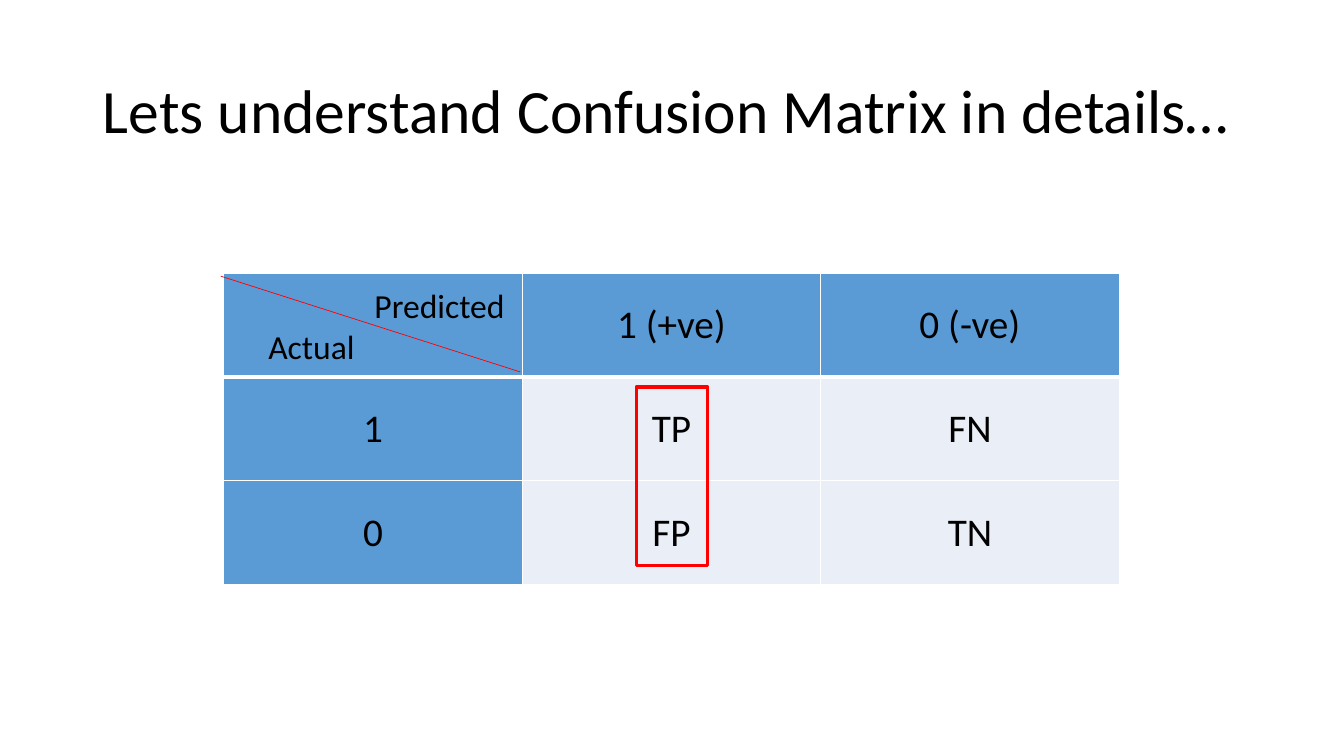
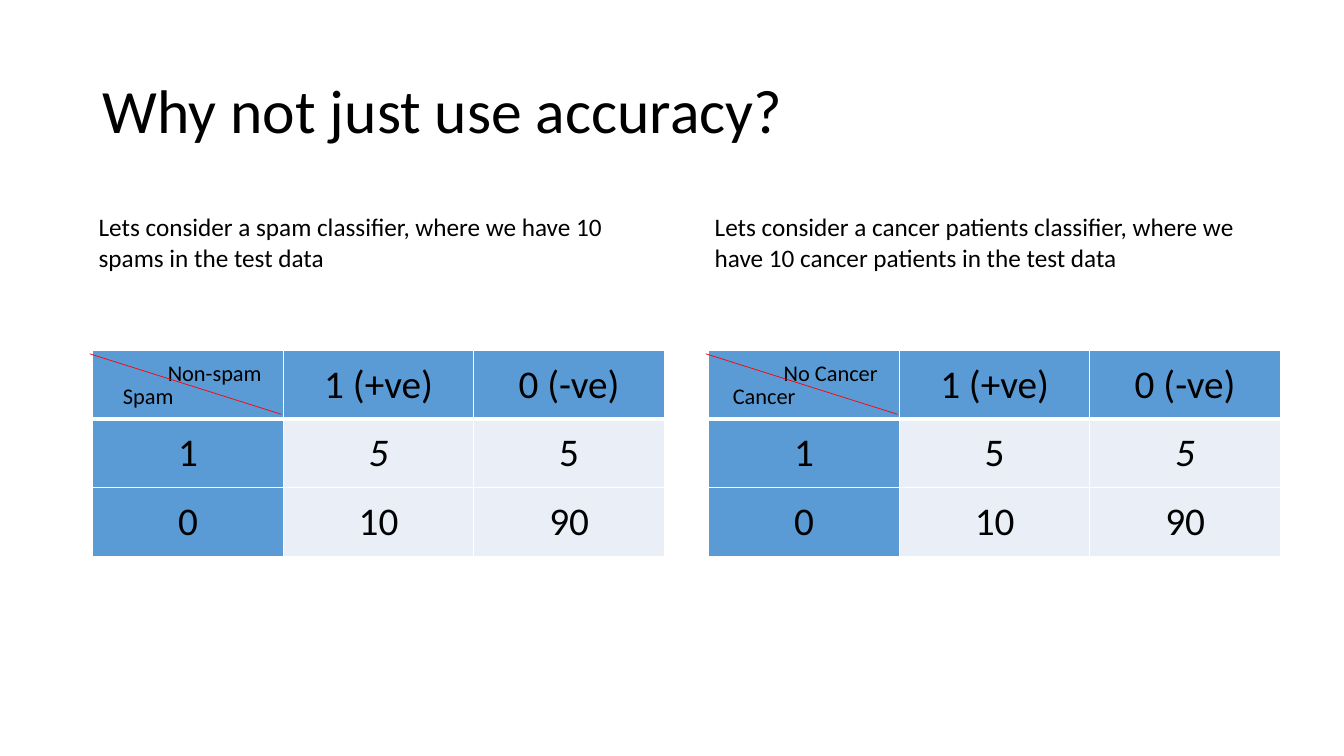
import pptx
import pptx.util
import pptx.dml.color
import pptx.enum.shapes
import pptx.enum.text
import pptx.oxml
import pptx.oxml.ns
from pptx.util import Inches

BLACK = pptx.dml.color.RGBColor(0x00, 0x00, 0x00)
WHITE = pptx.dml.color.RGBColor(0xFF, 0xFF, 0xFF)
RED = pptx.dml.color.RGBColor(0xFF, 0x00, 0x00)
HEADER_BLUE = pptx.dml.color.RGBColor(0x5B, 0x9B, 0xD5)
CELL_BLUE = pptx.dml.color.RGBColor(0xEA, 0xEF, 0xF7)
FONT = "Calibri"
LEFT = pptx.enum.text.PP_ALIGN.LEFT
CENTER = pptx.enum.text.PP_ALIGN.CENTER
MIDDLE = pptx.enum.text.MSO_ANCHOR.MIDDLE
DRAWING = pptx.oxml.ns.nsdecls("a")


def write_text(frame, text, size, align=CENTER, italic=False, line_spacing=None):
    frame.word_wrap = True
    paragraph = frame.paragraphs[0]
    paragraph.alignment = align
    paragraph.line_spacing = line_spacing
    run = paragraph.add_run()
    run.text = text
    run.font.name = FONT
    run.font.size = pptx.util.Pt(size)
    run.font.color.rgb = BLACK
    run.font.italic = italic


def add_matrix(slide, left, top, column_width, row_height, values, labels, label_size, italic_cell=None):
    """Draw a 3 x 3 confusion matrix; labels hold text and box relative to its corner."""
    table_frame = slide.shapes.add_table(
        3, 3, Inches(left), Inches(top), Inches(3 * column_width), Inches(3 * row_height))
    table = table_frame.table
    for column in table.columns:
        column.width = Inches(column_width)
    for row in table.rows:
        row.height = Inches(row_height)

    rows = [["", "1 (+ve)", "0 (-ve)"], ["1", *values[0]], ["0", *values[1]]]
    for row_index, texts in enumerate(rows):
        for column_index, text in enumerate(texts):
            cell = table.cell(row_index, column_index)
            cell.vertical_anchor = MIDDLE
            properties = cell._tc.get_or_add_tcPr()
            for side in "LRTB":
                under_header = (row_index, side) in [(0, "B"), (1, "T")]
                width = pptx.util.Pt(3 if under_header else 1)
                properties.append(pptx.oxml.parse_xml(
                    f'<a:ln{side} {DRAWING} w="{width}"><a:solidFill>'
                    f'<a:srgbClr val="{WHITE}"/></a:solidFill></a:ln{side}>'))
            is_header = row_index == 0 or column_index == 0
            cell.fill.solid()
            cell.fill.fore_color.rgb = HEADER_BLUE if is_header else CELL_BLUE
            if text:
                write_text(cell.text_frame, text, 28, italic=(row_index, column_index) == italic_cell)

    for text, x, y, width, height in labels:
        label = slide.shapes.add_textbox(
            Inches(left + x), Inches(top + y), Inches(width), Inches(height))
        write_text(label.text_frame, text, label_size)

    diagonal = slide.shapes.add_connector(
        pptx.enum.shapes.MSO_CONNECTOR.STRAIGHT,
        Inches(left - 0.03), Inches(top + 0.03),
        Inches(left + column_width - 0.02), Inches(top + row_height - 0.05))
    diagonal.line.color.rgb = RED
    diagonal.line.width = pptx.util.Pt(0.5)
    diagonal._element.spPr.append(pptx.oxml.parse_xml(f"<a:effectLst {DRAWING}/>"))


presentation = pptx.Presentation()
presentation.slide_width = Inches(13.33)
presentation.slide_height = Inches(7.5)

slides = []
for title_text in ["Lets understand Confusion Matrix in details…", "Why not just use accuracy?"]:
    slide = presentation.slides.add_slide(presentation.slide_layouts[5])
    title = slide.shapes.title
    title.left, title.top = Inches(0.92), Inches(0.4)
    title.width, title.height = Inches(11.5), Inches(1.45)
    title.text_frame.vertical_anchor = MIDDLE
    title.text_frame.auto_size = pptx.enum.text.MSO_AUTO_SIZE.NONE
    write_text(title.text_frame, title_text, 44, align=LEFT, line_spacing=0.9)
    slides.append(slide)
details_slide, accuracy_slide = slides

# Matrix with its positive predictions outlined
add_matrix(details_slide, 2.22, 2.71, 2.96, 1.03, [["TP", "FN"], ["FP", "TN"]],
           [("Actual", 0.34, 0.47, 1.06, 0.5), ("Predicted", 1.31, 0.07, 1.66, 0.5)], 24)
outline = details_slide.shapes.add_shape(
    pptx.enum.shapes.MSO_SHAPE.RECTANGLE, Inches(6.31), Inches(3.84), Inches(0.71), Inches(1.77))
outline.shadow.inherit = False
outline.fill.background()
outline.line.color.rgb = RED
outline.line.width = pptx.util.Pt(2.25)

# Two classifiers with equal counts, side by side
classifiers = [
    ("Lets consider a spam classifier, where we have 10 spams in the test data",
     "Spam", "Non-spam", (1, 1)),
    ("Lets consider a cancer patients classifier, where we have 10 cancer patients in the test data",
     "Cancer", "No Cancer", (1, 2)),
]
for index, (introduction, actual, predicted, italic_cell) in enumerate(classifiers):
    left = 0.92 + index * 6.11
    add_matrix(accuracy_slide, left, 3.48, 1.89, 0.68, [["5", "5"], ["10", "90"]],
               [(actual, -0.23, 0.26, 1.56, 0.37), (predicted, 0.53, 0.03, 1.36, 0.37)],
               16, italic_cell)
    text_box = accuracy_slide.shapes.add_textbox(
        Inches(left - 0.04), Inches(2.05), Inches(5.71), Inches(0.71))
    write_text(text_box.text_frame, introduction, 18, align=LEFT)

presentation.save("out.pptx")
